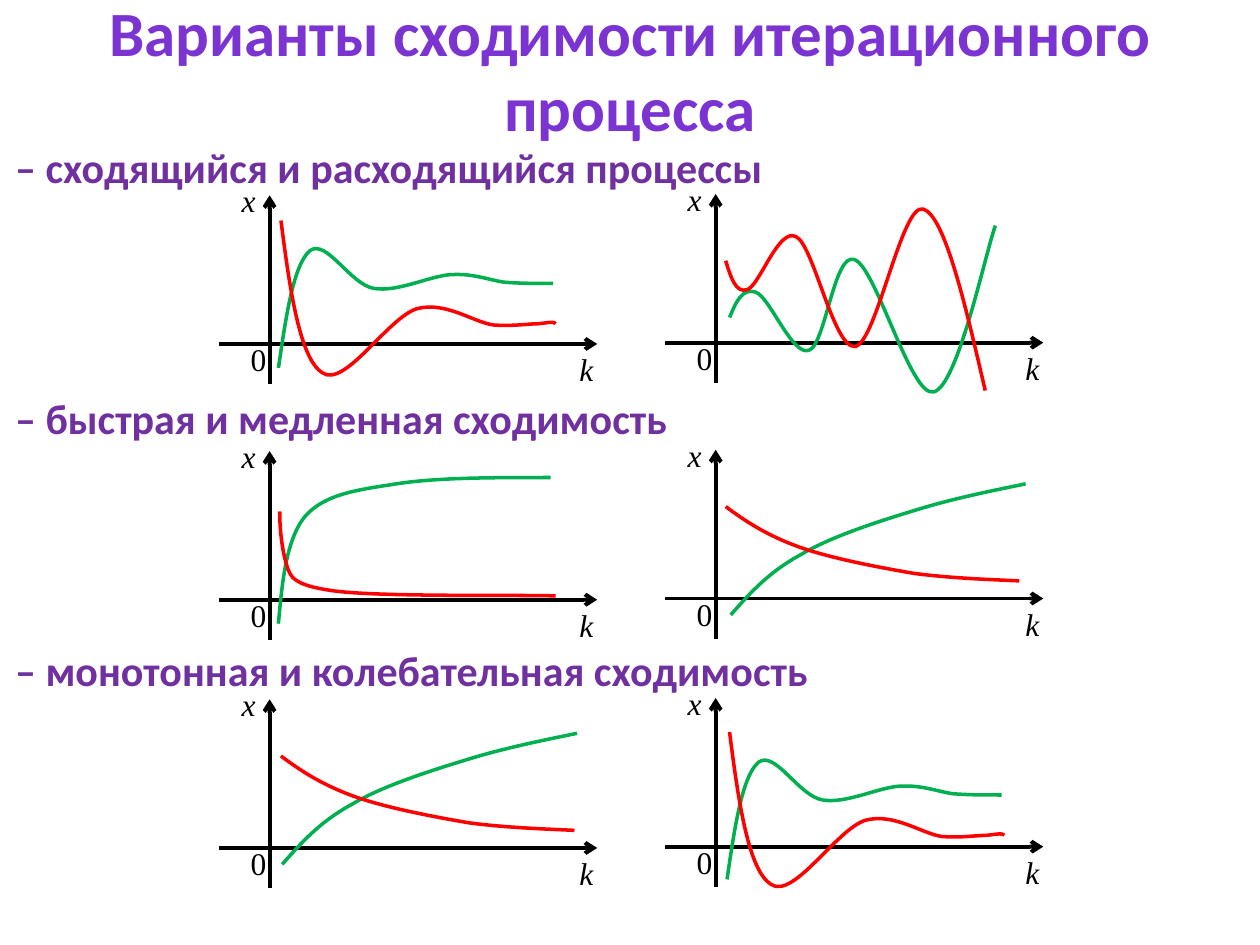
from dataclasses import dataclass

from lxml import etree
from pptx import Presentation
from pptx.dml.color import RGBColor
from pptx.enum.shapes import MSO_CONNECTOR
from pptx.enum.text import MSO_ANCHOR, MSO_AUTO_SIZE, PP_ALIGN
from pptx.oxml.ns import qn
from pptx.util import Cm, Pt

STRAIGHT = MSO_CONNECTOR.STRAIGHT
TOP, MIDDLE = MSO_ANCHOR.TOP, MSO_ANCHOR.MIDDLE
NO_FIT, GROW = MSO_AUTO_SIZE.NONE, MSO_AUTO_SIZE.SHAPE_TO_FIT_TEXT
LEFT, CENTER = PP_ALIGN.LEFT, PP_ALIGN.CENTER


@dataclass(frozen=True)
class Theme:
    """Colours, fonts and sizes of the slide."""
    title: RGBColor = RGBColor(0x7B, 0x34, 0xD2)
    body: RGBColor = RGBColor(0x70, 0x30, 0xA0)
    axis: RGBColor = RGBColor(0, 0, 0)
    curves: tuple = (RGBColor(0x00, 0xB0, 0x50), RGBColor(0xFF, 0, 0))
    text_font: str = "Calibri"
    math_font: str = "Times New Roman"
    title_size: Pt = Pt(36)
    body_size: Pt = Pt(24)
    label_size: Pt = Pt(18)
    axis_width: Pt = Pt(2.25)
    curve_width: Pt = Pt(2)
    case_gap: Pt = Pt(115)


THEME = Theme()
TITLE = "Варианты сходимости итерационного процесса"
CASES = (
    "– сходящийся и расходящийся процессы",
    "– быстрая и медленная сходимость",
    "– монотонная и колебательная сходимость",
)

CONVERGING = (
    ((7, -19), (13, 22), (19, 63), (32, 74), (45, 84), (64, 47), (83, 44),
     (102, 41), (127, 54), (144, 55), (162, 56), (173, 51), (186, 49),
     (199, 48), (212, 48), (225, 48)),
    ((9, 98), (16, 43), (24, -12), (42, -23), (60, -35), (94, 21), (117, 28),
     (140, 34), (162, 17), (178, 15), (194, 14), (205, 16), (213, 16),
     (222, 17), (226, 18), (227, 16)),
)
DIVERGING = (
    ((11, 20), (16, 32), (21, 44), (32, 40), (43, 36), (61, -11), (74, -6),
     (87, -2), (94, 72), (110, 66), (127, 61), (155, -44), (173, -39),
     (192, -35), (214, 71), (222, 93)),
    ((8, 65), (12, 52), (16, 39), (25, 42), (35, 45), (50, 92), (64, 84),
     (78, 77), (94, -6), (111, -3), (128, 1), (148, 112), (165, 106),
     (182, 100), (198, 31), (214, -38)),
)
FAST = (
    ((7, -19), (10, 14), (13, 47), (28, 66), (44, 84), (69, 87), (101, 92),
     (133, 97), (178, 97), (223, 97)),
    ((8, 70), (8, 59), (9, 46), (12, 33), (16, 19), (15, 12), (51, 7),
     (87, 2), (199, 4), (227, 3)),
)
SLOW = (
    ((12, -13), (27, 4), (42, 21), (68, 35), (93, 50), (135, 63), (165, 72),
     (195, 81), (232, 88), (246, 91)),
    ((8, 73), (24, 61), (41, 50), (66, 41), (91, 32), (128, 25), (157, 20),
     (187, 16), (220, 15), (241, 14)),
)

AT_ORIGIN = ((0, 0), (0, 0))
PLOT_ROWS = (
    (139, (CONVERGING, AT_ORIGIN), (DIVERGING, AT_ORIGIN)),
    (342, (FAST, AT_ORIGIN), (SLOW, AT_ORIGIN)),
    (539, (SLOW, ((-2, 0), (1, 0))), (CONVERGING, ((2, -7), (2, -7)))),
)
PLOT_COLUMNS = ((174, 0), (528, -1))
ORIGIN_IN_PLOT = (40, 134)
AXES = (((0, 32), (0, -118)), ((-40, 0), (260, 0)))
LABELS = (("k", 236, 0, True), ("x", -32, -134, True), ("0", -25, -8, False))


def steps(count):
    """Turn drawing-grid steps into a length."""
    return Cm(2.54) * count // 100


def set_font(paragraph, name, size, color, bold=False, italic=False):
    """Format the whole paragraph."""
    font = paragraph.font
    font.name, font.size, font.bold, font.italic = name, size, bold, italic
    font.color.rgb = color


def place(shape, left, top, width, height):
    """Move a placeholder to a box given in grid steps."""
    shape.left, shape.top = steps(left), steps(top)
    shape.width, shape.height = steps(width), steps(height)


def add_title(slide, box):
    """Fill the title placeholder."""
    heading = slide.shapes.title
    place(heading, *box)
    frame = heading.text_frame
    frame.text = TITLE
    frame.auto_size, frame.vertical_anchor = NO_FIT, MIDDLE
    line = frame.paragraphs[0]
    line.alignment = CENTER
    set_font(line, THEME.text_font, THEME.title_size, THEME.title, bold=True)


def add_cases(slide, box):
    """List the kinds of convergence in the body placeholder."""
    listing = slide.placeholders[1]
    place(listing, *box)
    frame = listing.text_frame
    frame.text = "\n".join(CASES)
    frame.auto_size, frame.vertical_anchor = NO_FIT, TOP
    for index, case in enumerate(frame.paragraphs):
        case.alignment = LEFT
        case.space_before = THEME.case_gap if index else Pt(0)
        set_font(case, THEME.text_font, THEME.body_size, THEME.body, bold=True)
        properties = case._p.get_or_add_pPr()
        properties.set("marL", "0")
        properties.set("indent", "0")
        properties.insert_element_before(
            etree.Element(qn("a:buNone")), "a:tabLst", "a:defRPr", "a:extLst")


def add_axis(shapes, origin, start, end):
    """Draw one axis with an arrowhead at its end."""
    ends = [steps(base + shift) for point in (start, end)
            for base, shift in zip(origin, point)]
    axis = shapes.add_connector(STRAIGHT, *ends)
    axis.line.color.rgb = THEME.axis
    axis.line.width = THEME.axis_width
    properties = axis.element.spPr
    etree.SubElement(properties.find(qn("a:ln")), qn("a:tailEnd"), type="arrow")
    etree.SubElement(properties, qn("a:effectLst"))


def add_label(shapes, origin, text, dx, dy, italic):
    """Write an axis label next to the origin or an axis end."""
    label = shapes.add_textbox(steps(origin[0] + dx), steps(origin[1] + dy),
                               steps(31 if italic else 33), steps(40))
    frame = label.text_frame
    frame.text = text
    frame.word_wrap, frame.auto_size = False, GROW
    set_font(frame.paragraphs[0], THEME.math_font, THEME.label_size,
             THEME.axis, italic=italic)


def add_curve(shapes, origin, points, shift, color):
    """Draw a chain of cubic Bezier segments, measured up from the origin."""
    knots = [(steps(origin[0] + x + shift[0]), steps(origin[1] - y - shift[1]))
             for x, y in points]
    anchors = knots[::3]
    builder = shapes.build_freeform(*anchors[0], scale=1.0)
    builder.add_line_segments(anchors[1:], close=False)
    curve = builder.convert_to_shape()
    curve.fill.background()
    curve.line.color.rgb = color
    curve.line.width = THEME.curve_width
    curve.shadow.inherit = False
    left, top = (min(values) for values in zip(*anchors))
    outline = next(curve.element.iter(qn("a:path")))
    for segment in outline.findall(qn("a:lnTo")):
        outline.remove(segment)
    for first in range(1, len(knots), 3):
        bend = etree.SubElement(outline, qn("a:cubicBezTo"))
        for x, y in knots[first:first + 3]:
            etree.SubElement(bend, qn("a:pt"), x=str(x - left), y=str(y - top))


def add_plot(slide, left, top, curves, shifts):
    """Draw axes, labels and both curves of one plot."""
    origin = left + ORIGIN_IN_PLOT[0], top + ORIGIN_IN_PLOT[1]
    frame = slide.shapes.add_group_shape().shapes
    for start, end in AXES:
        add_axis(frame, origin, start, end)
    for label in LABELS:
        add_label(frame, origin, *label)
    for points, shift, color in zip(curves, shifts, THEME.curves):
        add_curve(slide.shapes, origin, points, shift, color)


def main():
    """Build the slide and save it."""
    deck = Presentation()
    deck.slide_width, deck.slide_height = Cm(25.4), Cm(19.05)
    slide = deck.slides.add_slide(deck.slide_layouts[1])
    add_title(slide, (0, -11, 1000, 131))
    add_cases(slide, (2, 107, 1000, 454))
    for top, *plots in PLOT_ROWS:
        for (left, lift), (curves, shifts) in zip(PLOT_COLUMNS, plots):
            add_plot(slide, left, top + lift, curves, shifts)
    deck.save("out.pptx")


if __name__ == "__main__":
    main()
